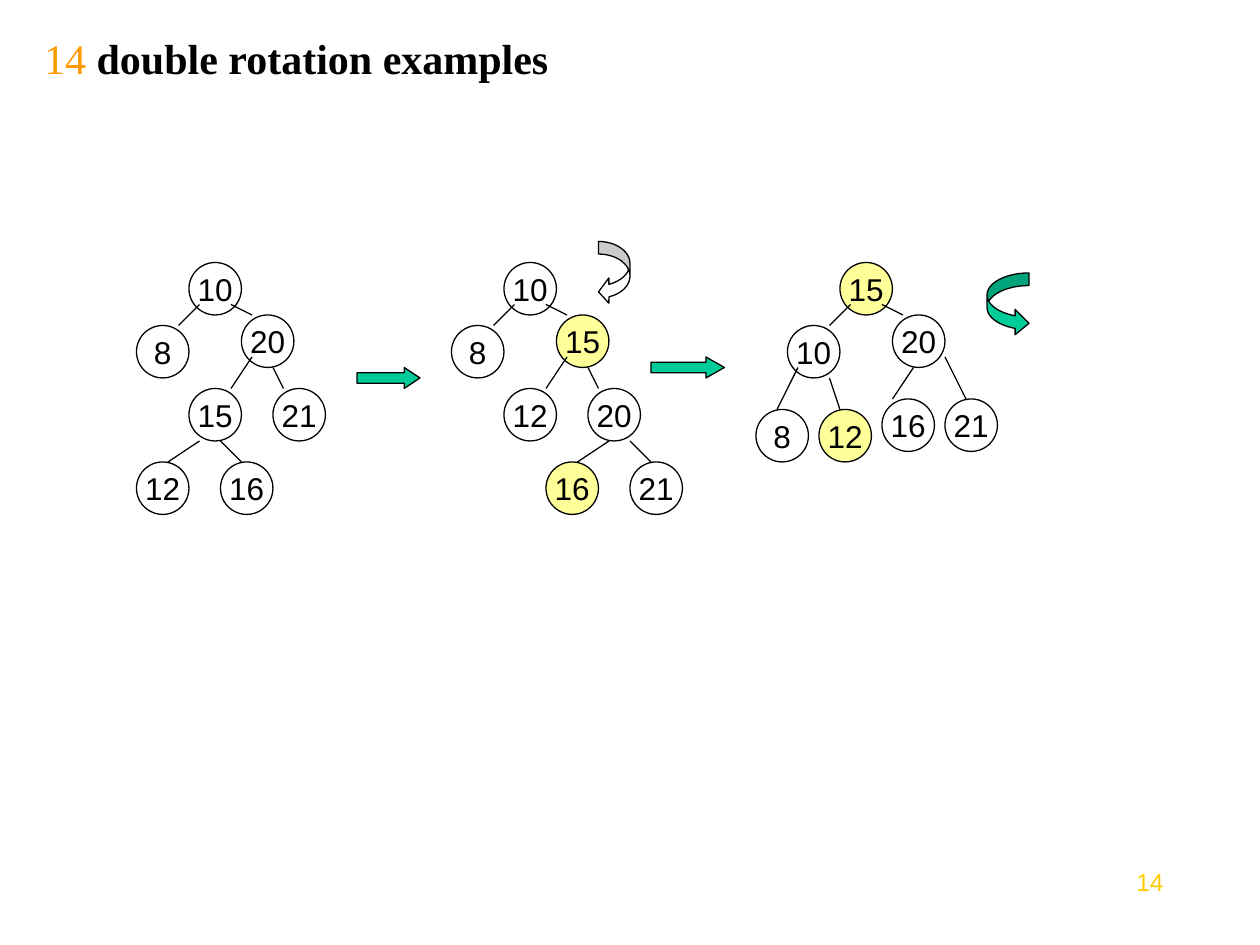
from lxml.etree import SubElement
from pptx import Presentation
from pptx.dml.color import RGBColor
from pptx.enum.shapes import MSO_CONNECTOR, MSO_SHAPE as Shape
from pptx.enum.text import MSO_ANCHOR as Anchor, MSO_AUTO_SIZE as AutoSize, PP_ALIGN as Align
from pptx.oxml.ns import qn
from pptx.util import Pt

EMU_PER_PX = 9525
NODE = 40
ROOT_TOP = 200
BLACK, WHITE, YELLOW, GREEN = "000000", "FFFFFF", "FFFF99", "00CC99"

TITLE = [
    ("14 ", {"size": Pt(24), "name": "Times New Roman", "bold": False}, "FF9900"),
    ("double rotation examples", {"size": Pt(24), "name": "Times New Roman", "bold": True}, BLACK),
]
NODE_FONT = {"size": Pt(18), "name": "Arial"}
NUMBER_FONT = {"size": Pt(14), "name": "Arial"}

# Positions inside a tree are measured from the top left of its root.
TOP_POSITIONS = [(0, 0), (-40, 48), (40, 40)]
TOP_EDGES = [(-8, 48, 8, 32), (32, 32, 48, 40)]
INNER_EDGES = [(32, 96, 48, 72), (64, 80, 72, 96)]

TREES = [
    {
        "root_left": 144,
        "labels": ["10", "8", "20", "15", "21", "12", "16"],
        "lower": [(0, 96), (64, 96), (-40, 152), (24, 152)],
        "edges": INNER_EDGES + [(-16, 152, 8, 136), (24, 136, 40, 152)],
        "highlighted": [],
        "turn": None,
    },
    {
        "root_left": 384,
        "labels": ["10", "8", "15", "12", "20", "16", "21"],
        "lower": [(0, 96), (64, 96), (32, 152), (96, 152)],
        "edges": INNER_EDGES + [(56, 152, 80, 136), (96, 136, 112, 152)],
        "highlighted": ["15", "16"],
        "turn": (Shape.CURVED_LEFT_ARROW, (456, 184, 24, 48), WHITE, (0.4, 0.8, 0.33)),
    },
    {
        "root_left": 640,
        "labels": ["15", "10", "20", "12", "21", "8", "16"],
        "lower": [(-16, 112), (80, 104), (-64, 112), (32, 104)],
        "edges": [(40, 104, 56, 80), (80, 72, 96, 104), (-48, 112, -32, 80), (-8, 88, 0, 112)],
        "highlighted": ["15", "12"],
        "turn": (Shape.CURVED_RIGHT_ARROW, (752, 208, 32, 48), GREEN, (0.3, 0.6, 0.33)),
    },
]
STEP_ARROWS = [((272, 280, 48, 16), (0.5, 0.75)), ((496, 272, 56, 16), (0.5, 0.88))]


def px(*lengths):
    return [length * EMU_PER_PX for length in lengths]


def color(value):
    return RGBColor.from_string(value)


def set_line(line):
    line.color.rgb = color(BLACK)
    line.width = Pt(0.75)


def add_run(paragraph, text, font_values, font_color):
    run = paragraph.add_run()
    run.text = text
    for name, value in font_values.items():
        setattr(run.font, name, value)
    run.font.color.rgb = color(font_color)


def add_shape(shapes, kind, box, fill, adjustments=()):
    shape = shapes.add_shape(kind, *px(*box))
    shape.shadow.inherit = False
    shape.fill.solid()
    shape.fill.fore_color.rgb = color(fill)
    set_line(shape.line)
    for index, value in enumerate(adjustments):
        shape.adjustments[index] = value
    return shape


def add_node(shapes, label, left, top, fill):
    shape = add_shape(shapes, Shape.OVAL, (left, top, NODE, NODE), fill)
    frame = shape.text_frame
    frame.word_wrap = False
    frame.vertical_anchor = Anchor.MIDDLE
    paragraph = frame.paragraphs[0]
    paragraph.alignment = Align.CENTER
    add_run(paragraph, label, NODE_FONT, BLACK)


def add_edge(shapes, ends):
    edge = shapes.add_connector(MSO_CONNECTOR.STRAIGHT, *px(*ends))
    set_line(edge.line)
    SubElement(edge.line._get_or_add_ln().getparent(), qn("a:effectLst"))


def add_tree(slide, tree):
    shapes = slide.shapes.add_group_shape().shapes
    left = tree["root_left"]
    for label, (x, y) in zip(tree["labels"], TOP_POSITIONS + tree["lower"]):
        fill = YELLOW if label in tree["highlighted"] else WHITE
        add_node(shapes, label, left + x, ROOT_TOP + y, fill)
    for x1, y1, x2, y2 in TOP_EDGES + tree["edges"]:
        add_edge(shapes, (left + x1, ROOT_TOP + y1, left + x2, ROOT_TOP + y2))
    if tree["turn"]:
        add_shape(shapes, *tree["turn"])


def add_title(slide):
    title = slide.shapes.title
    title.left, title.top, title.width, title.height = px(24, 24, 816, 40)
    frame = title.text_frame
    for name, value in {"word_wrap": True, "auto_size": AutoSize.NONE,
                        "vertical_anchor": Anchor.MIDDLE}.items():
        setattr(frame, name, value)
    paragraph = frame.paragraphs[0]
    paragraph.alignment = Align.LEFT
    for text, font_values, font_color in TITLE:
        add_run(paragraph, text, font_values, font_color)


def add_page_number(slide):
    frame = slide.shapes.add_textbox(*px(832, 656, 64, 50)).text_frame
    frame.word_wrap = True
    paragraph = frame.paragraphs[0]
    paragraph.alignment = Align.RIGHT
    add_run(paragraph, "14", NUMBER_FONT, "FFCC00")


def main():
    presentation = Presentation()
    presentation.slide_width, presentation.slide_height = px(960, 720)
    slide = presentation.slides.add_slide(presentation.slide_layouts[5])
    add_page_number(slide)
    add_title(slide)
    for tree in TREES:
        add_tree(slide, tree)
    for box, adjustments in STEP_ARROWS:
        add_shape(slide.shapes, Shape.RIGHT_ARROW, box, GREEN, adjustments)
    presentation.save("out.pptx")


if __name__ == "__main__":
    main()
